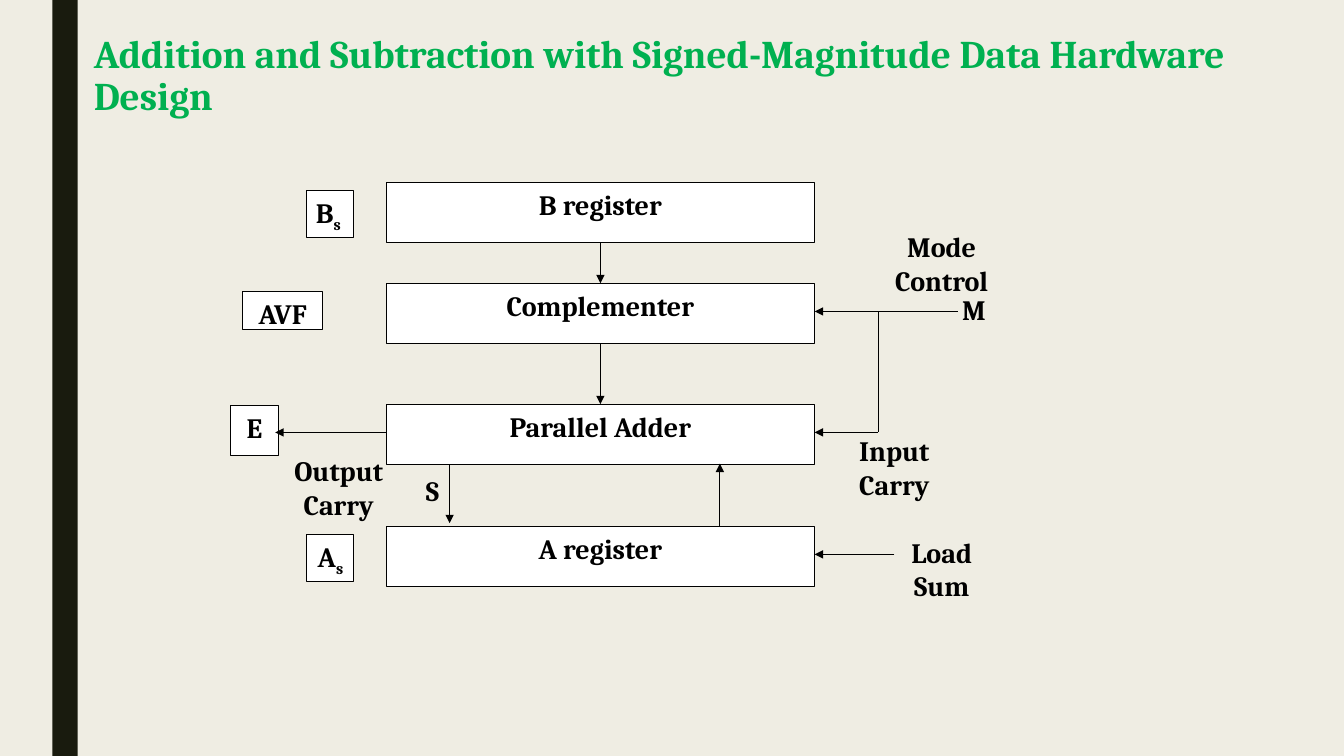
from lxml import etree
from pptx import Presentation
from pptx.dml.color import RGBColor
from pptx.enum.shapes import MSO_CONNECTOR, MSO_SHAPE
from pptx.enum.text import MSO_ANCHOR, PP_ALIGN
from pptx.oxml.ns import qn
from pptx.util import Inches, Pt

LINE = MSO_CONNECTOR.STRAIGHT
BOX, BAR = MSO_SHAPE.FLOWCHART_PROCESS, MSO_SHAPE.RECTANGLE
TOP = MSO_ANCHOR.TOP
LEFT, CENTER = PP_ALIGN.LEFT, PP_ALIGN.CENTER

BLACK, WHITE, GREEN = "000000", "FFFFFF", "00B050"
CREAM, DARK = "EFEDE3", "191B0E"
UNIT_X, UNIT_W, UNIT_H = 3.83, 4.25, 0.6
UNIT_END = UNIT_X + UNIT_W
MID = UNIT_X + UNIT_W / 2
FLAG = 0.47

UNITS = [
    ("B register", 1.81),
    ("Complementer", 2.81),
    ("Parallel Adder", 4.01),
    ("A register", 5.22),
]
FLAGS = [
    ("AVF", "", 2.41, 2.89, 0.79, 0.38, CENTER),
    ("E", "", 2.29, 4.02, FLAG, 0.5, CENTER),
    ("B", "s ", 3.04, 1.89, FLAG, FLAG, CENTER),
    (" A", "s", 3.04, 5.3, FLAG, FLAG, LEFT),
]
ARROWS = [
    (MID, 2.41, MID, 2.81),
    (MID, 3.41, MID, 4.01),
    (4.46, 4.61, 4.46, 5.19),
    (7.14, 5.22, 7.14, 4.6),
    (UNIT_X, 4.29, 2.73, 4.29),
    (9.5, 3.09, UNIT_END, 3.09),
    (8.71, 4.29, UNIT_END, 4.29),
    (8.87, 5.5, UNIT_END, 5.5),
]
LABELS = [
    ("S", 4.21, 4.69, 0.16),
    ("Load Sum", 8.87, 5.3, 0.94),
    ("M", 9.5, 2.89, 0.32),
    ("Mode Control", 8.71, 2.27, 1.26),
    ("Input Carry", 8.24, 4.29, 1.26),
    ("Output Carry", 2.73, 4.49, 1.26),
]


def color(code):
    return RGBColor.from_string(code)


def write(shape, text, sub="", size=20, ink=BLACK, align=CENTER, inset=0.05, space=None):
    frame = shape.text_frame
    frame.word_wrap = True
    frame.vertical_anchor = TOP
    frame.margin_left = frame.margin_right = Inches(inset)
    frame.margin_top = frame.margin_bottom = Inches(inset)
    para = frame.paragraphs[0]
    para.alignment = align
    if space:
        para.line_spacing = space
    for part, base in ((text, None), (sub, "-25000")):
        if not part:
            continue
        run = para.add_run()
        run.text = part
        font = run.font
        font.name, font.size, font.bold = "Cambria", Pt(size), True
        font.color.rgb = color(ink)
        if base:
            font._element.set("baseline", base)


def place(shape, x, y, w, h):
    shape.left, shape.top = Inches(x), Inches(y)
    shape.width, shape.height = Inches(w), Inches(h)


def panel(slide, kind, x, y, w, h, fill, edge=None):
    shape = slide.shapes.add_shape(kind, Inches(x), Inches(y), Inches(w), Inches(h))
    shape.shadow.inherit = False
    shape.fill.solid()
    shape.fill.fore_color.rgb = color(fill)
    if edge:
        shape.line.color.rgb = color(edge)
        shape.line.width = Pt(0.75)
    else:
        shape.line.fill.background()
    return shape


def wire(slide, x1, y1, x2, y2, arrow=True):
    link = slide.shapes.add_connector(LINE, Inches(x1), Inches(y1), Inches(x2), Inches(y2))
    link.line.color.rgb = color(BLACK)
    link.line.width = Pt(0.75)
    if arrow:
        tail = etree.SubElement(link.line._get_or_add_ln(), qn("a:tailEnd"))
        tail.set("type", "triangle")
    etree.SubElement(link._element.spPr, qn("a:effectLst"))


def label(slide, text, x, y, w):
    box = slide.shapes.add_textbox(Inches(x), Inches(y), Inches(w), Inches(0.4))
    write(box, text, inset=0.01)


def main():
    deck = Presentation()
    deck.slide_width, deck.slide_height = Inches(13.33), Inches(7.5)
    slide = deck.slides.add_slide(deck.slide_layouts[5])
    back = slide.background.fill
    back.solid()
    back.fore_color.rgb = color(CREAM)
    panel(slide, BAR, 0.52, 0, 0.25, 7.5, DARK)

    title = slide.shapes.title
    place(title, 0.83, 0.3, 12.39, 0.73)
    write(title, "Addition and Subtraction with Signed-Magnitude Data Hardware Design",
          size=28, ink=GREEN, align=LEFT, inset=0.1, space=0.89)
    title.text_frame.margin_top = Inches(0.05)

    for text, y in UNITS:
        write(panel(slide, BOX, UNIT_X, y, UNIT_W, UNIT_H, WHITE, BLACK), text)
    for text, sub, x, y, w, h, align in FLAGS:
        write(panel(slide, BOX, x, y, w, h, WHITE, BLACK), text, sub=sub, align=align)
    for ends in ARROWS:
        wire(slide, *ends)
    wire(slide, 8.71, 3.09, 8.71, 4.29, arrow=False)
    for item in LABELS:
        label(slide, *item)
    deck.save("out.pptx")


if __name__ == "__main__":
    main()
